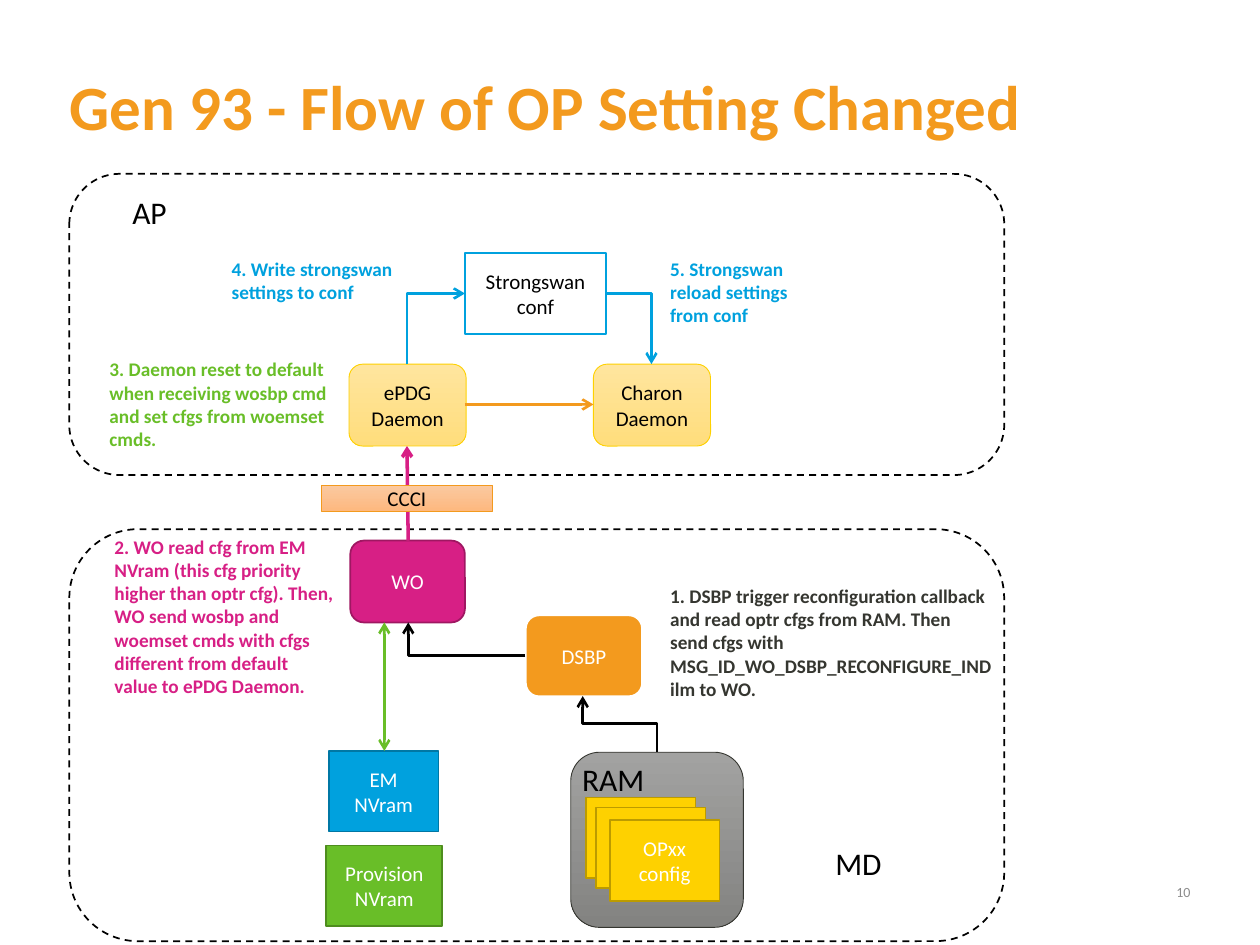
from pptx import Presentation, util as u
from pptx.dml.color import RGBColor
from pptx.enum import dml, shapes, text
from pptx.oxml.ns import qn
from lxml import etree

theme = {
    "font": "Calibri",
    "title": 36, "area": 18, "block": 12, "note": 11, "page": 8,
    "orange": "F39A1E", "blue": "00A1DE", "green": "69BE28", "pink": "D71F85",
    "yellow": "FED100", "black": "000000", "white": "FFFFFF", "dark": "353630",
    "page_grey": "8C8C8C", "blue_edge": "0077A4", "green_edge": "4E8D1E",
    "pink_edge": "9F1762", "yellow_edge": "BC9B00",
    "grey_fade": ("A2A2A1", "838381"),
    "yellow_fade": ("FFE59E", "FFDD7C"),
    "orange_fade": ("FBC9A1", "FDB87E"),
}
rgb = {name: RGBColor.from_string(value) for name, value in theme.items()
       if isinstance(value, str) and name != "font"}

deck = Presentation()
deck.slide_width, deck.slide_height = u.Inches(10), u.Inches(7.5)
slide = deck.slides.add_slide(deck.slide_layouts[5])
cell = deck.slide_width // 100

left, center, right = text.PP_ALIGN.LEFT, text.PP_ALIGN.CENTER, text.PP_ALIGN.RIGHT
top, middle = text.MSO_ANCHOR.TOP, text.MSO_ANCHOR.MIDDLE
flush = dict.fromkeys(("margin_left", "margin_top", "margin_right", "margin_bottom"), 0)


def write(frame, wording, size, color, align=left, bold=False, spacing=None, **layout):
    frame.text = wording
    for key, value in {"word_wrap": True, **layout}.items():
        setattr(frame, key, value)
    for line in frame.paragraphs:
        line.alignment, line.line_spacing = align, spacing
        for key, value in {"name": theme["font"], "size": u.Pt(theme[size]), "bold": bold}.items():
            setattr(line.font, key, value)
        line.font.color.rgb = rgb[color]


def block(parent, kind, at, fill, edge, weight, wording="", color="white"):
    body = parent.add_shape(kind, *[int(n * cell) for n in at])
    body.shadow.inherit = False
    if fill.endswith("_fade"):
        body.fill.gradient()
        body.fill.gradient_angle = 270
        for stop, shade in zip(body.fill.gradient_stops, theme[fill]):
            stop.color.rgb = RGBColor.from_string(shade)
    else:
        body.fill.solid()
        body.fill.fore_color.rgb = rgb[fill]
    body.line.color.rgb = rgb[edge]
    body.line.width = u.Pt(weight)
    if wording:
        write(body.text_frame, wording, "block", color, center, vertical_anchor=middle)
    return body


heading = slide.shapes.title
for key, value in zip(("left", "top", "width", "height"), (5.5, 6.4, 89, 11.5)):
    setattr(heading, key, int(value * cell))
write(heading.text_frame, "Gen 93 - Flow of OP Setting Changed", "title", "orange",
      bold=True, spacing=0.82, vertical_anchor=top, auto_size=text.MSO_AUTO_SIZE.NONE, **flush)

rounded, square = shapes.MSO_SHAPE.ROUNDED_RECTANGLE, shapes.MSO_SHAPE.RECTANGLE
for at in ((5.5, 42, 74.2, 32.7), (5.5, 13.8, 74.2, 23.9)):
    area = block(slide.shapes, rounded, at, "white", "black", 1)
    area.line.dash_style = dml.MSO_LINE.DASH

for spec_row in (
    (rounded, (45.3, 59.7, 13.7, 13.9), "grey_fade", "dark", 0.5),
    (rounded, (27.7, 28.9, 9.3, 6.5), "yellow_fade", "yellow", 0.5, "ePDG Daemon", "black"),
    (rounded, (47.1, 28.9, 9.3, 6.5), "yellow_fade", "yellow", 0.5, "Charon Daemon", "black"),
    (rounded, (27.8, 42.9, 9.1, 6.5), "pink", "pink_edge", 1, "WO"),
    (square, (36.9, 20.1, 11.2, 6.4), "white", "blue", 1, "Strongswan\nconf", "black"),
    (rounded, (41.7, 48.8, 9.3, 6.5), "orange", "white", 1.5, "DSBP"),
    (square, (26.1, 59.6, 8.7, 6.4), "blue", "blue_edge", 1, "EM NVram"),
    (square, (25.9, 67.1, 9.2, 6.4), "green", "green_edge", 1, "Provision\nNVram"),
):
    block(slide.shapes, *spec_row)

configs = slide.shapes.add_group_shape()
for x, y, wording in ((46.5, 63.3, ""), (47.3, 64.1, ""), (48.4, 65.1, "OPxx config")):
    block(configs.shapes, square, (x, y, 8.7, 6.4), "yellow", "yellow_edge", 1, wording)

straight, elbow = shapes.MSO_CONNECTOR.STRAIGHT, shapes.MSO_CONNECTOR.ELBOW
for kind, preset, ends, turn, color, weight, heads in (
    (straight, "line", (36.9, 32.1, 47.1, 32.1), 0, "orange", 1.5, ["tailEnd"]),
    (elbow, "bentConnector2", (37.4, 28.4, 31.8, 23.8), 90, "blue", 1.5, ["tailEnd"]),
    (elbow, "bentConnector2", (48.2, 23.3, 51.7, 28.9), 0, "blue", 1.5, ["tailEnd"]),
    (straight, "line", (32.3, 35.4, 32.4, 42.9), 0, "pink", 2, ["headEnd"]),
    (elbow, "bentConnector2", (32.4, 49.4, 41.7, 52), 180, "black", 1.5, ["tailEnd"]),
    (elbow, "bentConnector3", (47, 60.4, 51.4, 54.5), 270, "black", 1.5, ["tailEnd"]),
    (straight, "line", (30.5, 59.6, 30.5, 49.4), 0, "green", 1.5, ["headEnd", "tailEnd"]),
):
    flow = slide.shapes.add_connector(kind, *[int(n * cell) for n in ends])
    flow.rotation = turn
    flow.line.color.rgb = rgb[color]
    flow.line.width = u.Pt(weight)
    properties = flow._element.spPr
    properties.find(qn("a:prstGeom")).set("prst", preset)
    for head in heads:
        etree.SubElement(properties.find(qn("a:ln")), qn("a:" + head), type="arrow")
    etree.SubElement(properties, qn("a:effectLst"))

block(slide.shapes, square, (25.5, 38.5, 13.6, 2.1), "orange_fade", "orange", 0.5, "CCCI", "black")

for at, wording, size, color, align, anchor in (
    ((10.5, 15.3, 4.4, 3), "AP", "area", "black", left, top),
    ((46.2, 60.3, 12.9, 3), "RAM", "area", "black", left, top),
    ((66.3, 67, 4.4, 3), "MD", "area", "black", left, top),
    ((91.5, 70, 3, 1.6), "10", "page", "page_grey", right, middle),
):
    label = slide.shapes.add_textbox(*[int(n * cell) for n in at])
    write(label.text_frame, wording, size, color, align, vertical_anchor=anchor, **flush)

for at, wording, color in (
    ((52.2, 45.9, 27.5, 10.3), "1. DSBP trigger reconfiguration callback and read optr cfgs from RAM. "
     "Then send cfgs with MSG_ID_WO_DSBP_RECONFIGURE_IND ilm to WO.", "dark"),
    ((8.1, 42, 19.5, 15.8), "2. WO read cfg from EM NVram (this cfg priority higher than optr cfg). "
     "Then, WO send wosbp and woemset cmds with cfgs different from default value to ePDG Daemon.", "pink"),
    ((7.7, 27.9, 19.9, 8.4), "3. Daemon reset to default when receiving wosbp cmd "
     "and set cfgs from woemset cmds.", "green"),
    ((17.4, 19.9, 14.9, 6.6), "4. Write strongswan settings to conf", "blue"),
    ((52.2, 19.9, 13.2, 6.6), "5. Strongswan reload settings from conf", "blue"),
):
    step = slide.shapes.add_textbox(*[int(n * cell) for n in at])
    write(step.text_frame, wording, "note", color, bold=True)

deck.save("out.pptx")
